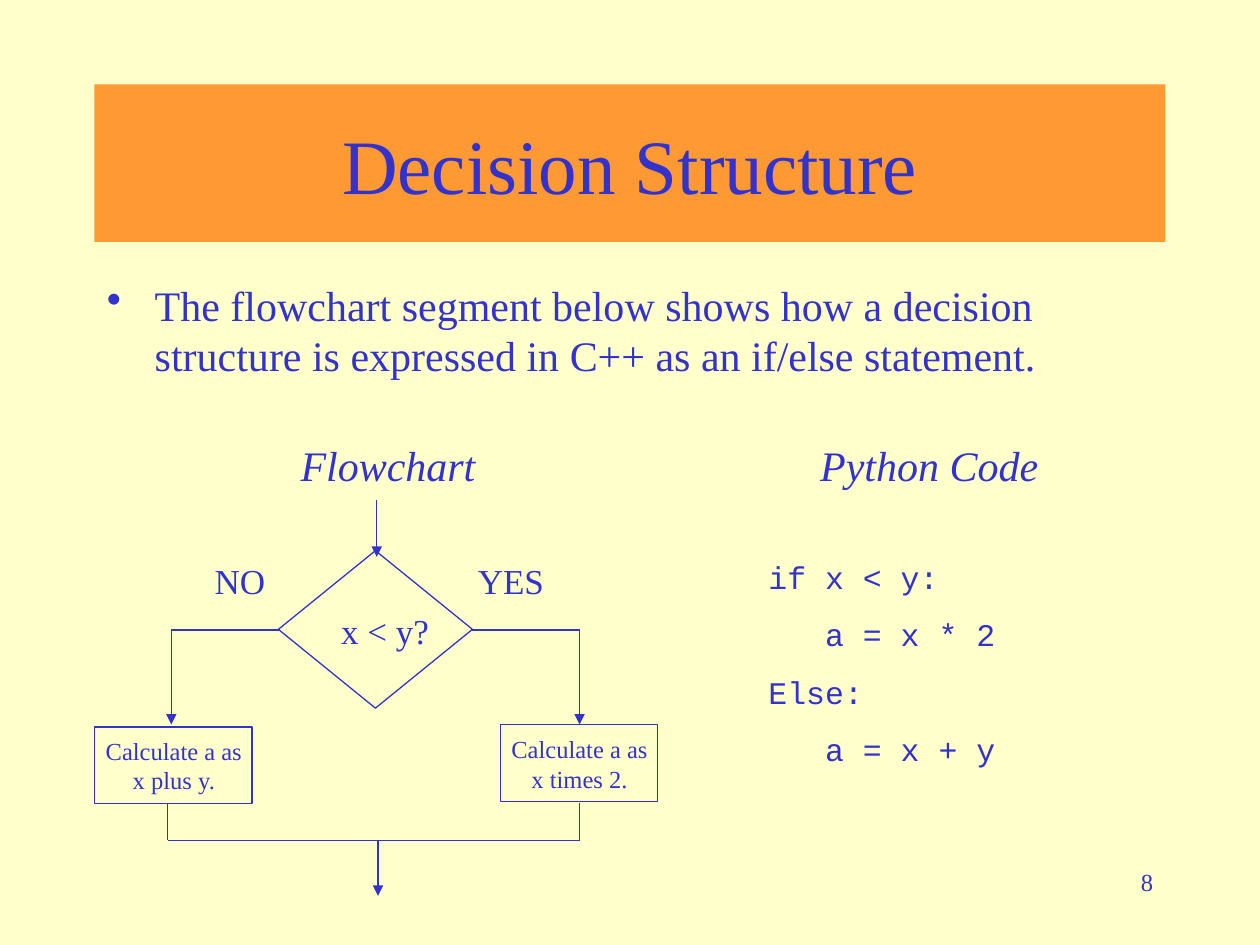
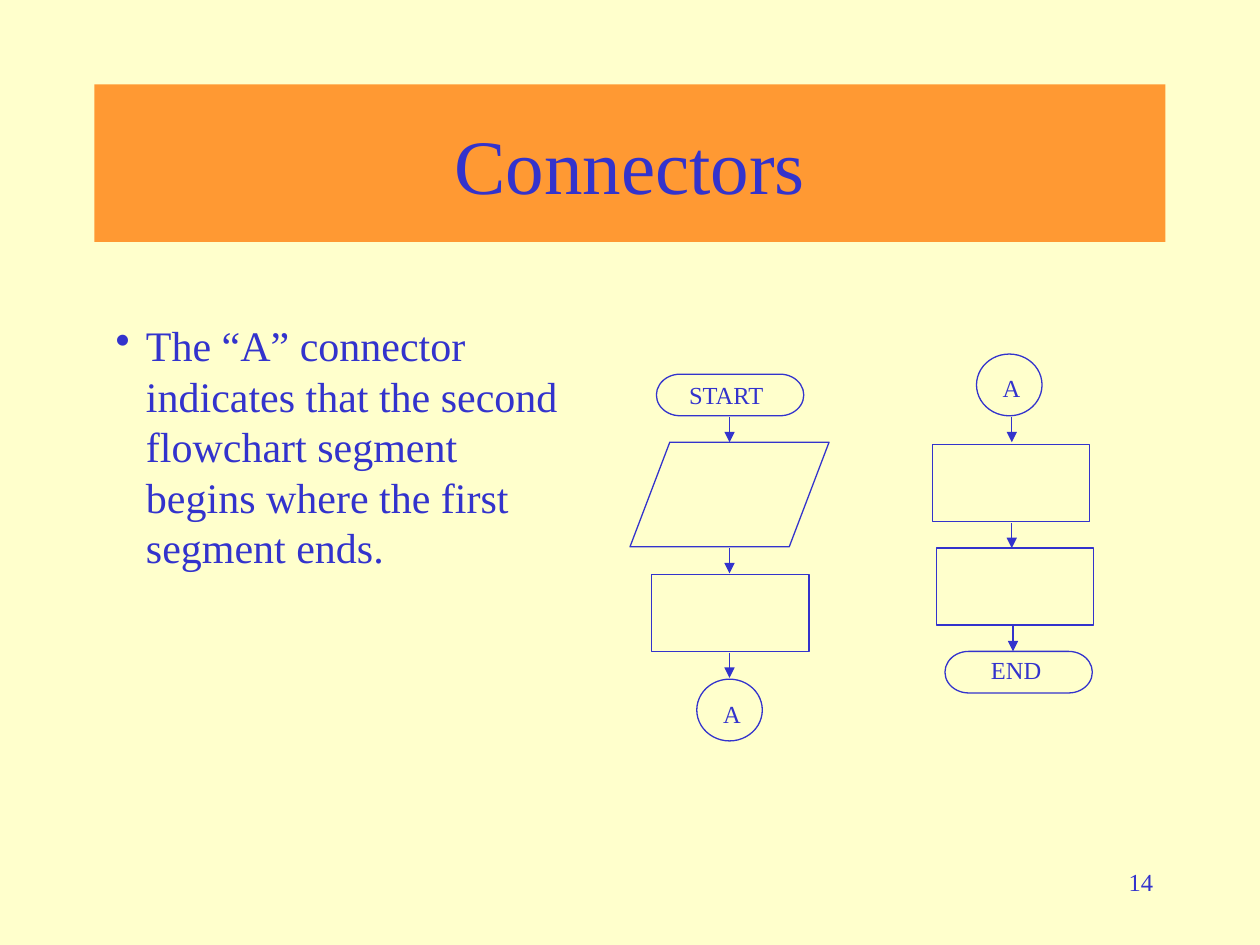
from dataclasses import dataclass
from lxml.etree import SubElement
from pptx import Presentation
from pptx.dml.color import RGBColor
from pptx.enum.shapes import MSO_CONNECTOR, MSO_SHAPE
from pptx.enum.text import MSO_ANCHOR, PP_ALIGN
from pptx.oxml.ns import qn
from pptx.util import Inches, Pt


@dataclass(frozen=True)
class Theme:
    paper: RGBColor = RGBColor(0xFF, 0xFF, 0xCC)
    band: RGBColor = RGBColor(0xFF, 0x99, 0x33)
    ink: RGBColor = RGBColor(0x33, 0x33, 0xCC)
    font: str = "Times New Roman"
    code_font: str = "Courier New"
    title: int = 44
    body: int = 24
    branch: int = 20
    code: int = 18
    small: int = 14
    line: float = 0.75


T = Theme()
LEFT, CENTER, RIGHT = PP_ALIGN.LEFT, PP_ALIGN.CENTER, PP_ALIGN.RIGHT

TITLE_BOX = (0.75, 0.67, 8.5, 1.25)
NUMBER_BOX = (7.17, 6.83, 2.08, 0.5)

DECISION = {
    "title": "Decision Structure",
    "number": "8",
    "bullet": "The flowchart segment below shows how a decision structure "
              "is expressed in C++ as an if/else statement.",
    "bullet_box": (0.75, 2.17, 8.5, 4.5),
    "hang": 0.38,
}
CONNECTORS = {
    "title": "Connectors",
    "number": "14",
    "bullet": "The “A” connector indicates that the second flowchart "
              "segment begins where the first segment ends.",
    "bullet_box": (0.82, 2.49, 3.81, 2.1),
    "hang": 0.24,
}

HEADINGS = [
    ("Flowchart", (2.21, 3.44, 1.74, 0.5)),
    ("Python Code", (6.15, 3.44, 2.45, 0.5)),
]
CODE_BOX = (6, 4.38, 3.21, 1.77)
CODE_INDENT = 0.45
CODE = [("if x < y:", 0), ("a = x * 2", 1), ("Else:", 0), ("a = x + y", 1)]

DECISION_NODES = [
    ("process", 0.75, 5.77),
    ("decision", 2.21, 4.37),
    ("process", 3.97, 5.75),
]
DECISION_LABELS = [
    ("YES", (3.64, 4.39, 0.83, 0.44), T.branch, CENTER),
    ("NO", (1.49, 4.39, 0.83, 0.44), T.branch, CENTER),
    ("x < y?", (2.61, 4.79, 0.94, 0.44), T.branch, LEFT),
    ("Calculate a as x times 2.", (3.96, 5.78, 1.28, 0.57), T.small, CENTER),
    ("Calculate a as x plus y.", (0.74, 5.79, 1.28, 0.57), T.small, CENTER),
]
NO_X, YES_X, SPLIT_Y, MERGE_Y = 1.36, 4.6, 5, 6.67
PLAIN_LINES = [
    (2.22, SPLIT_Y, NO_X, SPLIT_Y),
    (YES_X, SPLIT_Y, 3.74, SPLIT_Y),
    (1.33, 6.37, 1.33, MERGE_Y),
    (YES_X, 6.37, YES_X, MERGE_Y),
    (YES_X, MERGE_Y, 1.33, MERGE_Y),
]
ARROWS = [
    (NO_X, SPLIT_Y, NO_X, 5.75),
    (YES_X, SPLIT_Y, YES_X, 5.75),
    (3, MERGE_Y, 3, 7.11),
    (2.99, 3.97, 2.99, 4.42),
]

NODE_KINDS = {
    "process": (MSO_SHAPE.RECTANGLE, 1.25, 0.61),
    "decision": (MSO_SHAPE.FLOWCHART_DECISION, 1.54, 1.25),
    "connector": (MSO_SHAPE.FLOWCHART_CONNECTOR, 0.52, 0.49),
    "terminator": (MSO_SHAPE.FLOWCHART_TERMINATOR, 1.17, 0.33),
    "data": (MSO_SHAPE.FLOWCHART_DATA, 1.58, 0.83),
}
SEGMENTS = [
    {"nodes": [("terminator", 5.21, 2.97), ("data", 5, 3.51),
               ("process", 5.17, 4.56), ("connector", 5.53, 5.39)],
     "axes": [5.79, 5.79, 5.79]},
    {"nodes": [("connector", 7.75, 2.81), ("process", 7.4, 3.53),
               ("process", 7.43, 4.35), ("terminator", 7.5, 5.17)],
     "axes": [8.03, 8.03, 8.04]},
]
SEGMENT_LABELS = [
    ("START", (5.37, 2.97, 0.85, 0.34), T.small, LEFT),
    ("A", (5.64, 5.5, 0.26, 0.34), T.small, LEFT),
    ("A", (7.86, 2.91, 0.26, 0.34), T.small, LEFT),
    ("END", (7.64, 5.15, 0.85, 0.34), T.small, CENTER),
]
ARROW_GAP, ARROW_LENGTH = 0.01, 0.2


def inches(values):
    return [Inches(v) for v in values]


def add_run(p, text, size, align=LEFT, font=T.font, italic=False):
    p.alignment = align
    r = p.add_run()
    r.text = text
    r.font.size = Pt(size)
    r.font.name = font
    r.font.italic = italic
    r.font.color.rgb = T.ink


def add_text(s, box):
    tf = s.shapes.add_textbox(*inches(box)).text_frame
    tf.word_wrap = True
    return tf


def add_label(s, text, box, size, align, italic=False):
    add_run(add_text(s, box).paragraphs[0], text, size, align, italic=italic)


def indent(p, left, first=0):
    pPr = p._p.get_or_add_pPr()
    pPr.set("marL", str(Inches(left)))
    pPr.set("indent", str(Inches(first)))
    return pPr


def add_bullet(s, text, box, hang):
    p = add_text(s, box).paragraphs[0]
    pPr = indent(p, hang, -hang)
    SubElement(pPr, qn("a:buChar")).set("char", "•")
    add_run(p, text, T.body)


def add_node(s, kind, left, top):
    preset, width, height = NODE_KINDS[kind]
    sp = s.shapes.add_shape(preset, *inches((left, top, width, height)))
    sp.shadow.inherit = False
    sp.fill.background()
    sp.line.color.rgb = T.ink
    sp.line.width = Pt(T.line)


def add_line(s, ends, arrow=False):
    cx = s.shapes.add_connector(MSO_CONNECTOR.STRAIGHT, *inches(ends))
    cx.line.color.rgb = T.ink
    cx.line.width = Pt(T.line)
    if arrow:
        ln = cx.line._get_or_add_ln()
        SubElement(ln, qn("a:tailEnd")).set("type", "triangle")
    SubElement(cx._element.spPr, qn("a:effectLst"))


def add_slide(prs, content):
    s = prs.slides.add_slide(prs.slide_layouts[6])
    add_label(s, content["number"], NUMBER_BOX, T.small, RIGHT)
    sp = s.shapes.add_shape(MSO_SHAPE.RECTANGLE, *inches(TITLE_BOX))
    sp.shadow.inherit = False
    sp.fill.solid()
    sp.fill.fore_color.rgb = T.band
    sp.line.fill.background()
    tf = sp.text_frame
    tf.vertical_anchor = MSO_ANCHOR.MIDDLE
    add_run(tf.paragraphs[0], content["title"], T.title, CENTER)
    add_bullet(s, content["bullet"], content["bullet_box"], content["hang"])
    return s


def add_code(s):
    tf = add_text(s, CODE_BOX)
    for i, (text, level) in enumerate(CODE):
        p = tf.add_paragraph() if i else tf.paragraphs[0]
        indent(p, level * CODE_INDENT)
        p.space_before = Pt(11.2 if i else 0)
        add_run(p, text, T.code, font=T.code_font)


def build_decision(prs):
    s = add_slide(prs, DECISION)
    for node in DECISION_NODES:
        add_node(s, *node)
    for ends in PLAIN_LINES:
        add_line(s, ends)
    for ends in ARROWS:
        add_line(s, ends, arrow=True)
    for label in DECISION_LABELS:
        add_label(s, *label)
    add_code(s)
    for text, box in HEADINGS:
        add_label(s, text, box, T.body, CENTER, italic=True)


def build_connectors(prs):
    s = add_slide(prs, CONNECTORS)
    for segment in SEGMENTS:
        for node in segment["nodes"]:
            add_node(s, *node)
        for (kind, _, top), x in zip(segment["nodes"], segment["axes"]):
            y = top + NODE_KINDS[kind][2] + ARROW_GAP
            add_line(s, (x, y, x, y + ARROW_LENGTH), arrow=True)
    for label in SEGMENT_LABELS:
        add_label(s, *label)


def main():
    prs = Presentation()
    prs.slide_width, prs.slide_height = Inches(10), Inches(7.5)
    fill = prs.slide_master.background.fill
    fill.solid()
    fill.fore_color.rgb = T.paper
    build_decision(prs)
    build_connectors(prs)
    prs.save("out.pptx")


if __name__ == "__main__":
    main()
